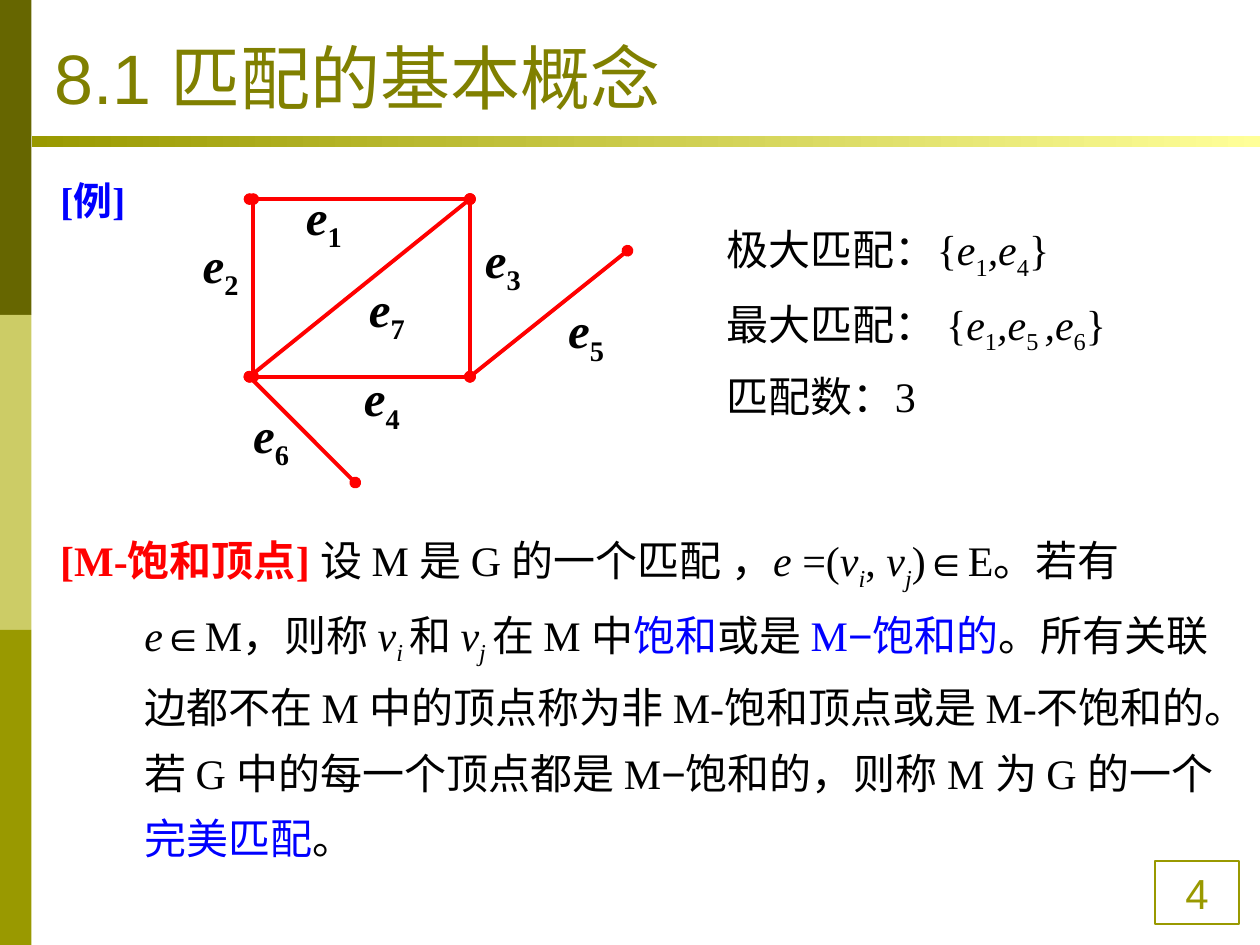
from typing import NamedTuple

from lxml import etree
from pptx import Presentation
from pptx.dml.color import RGBColor
from pptx.enum.shapes import MSO_CONNECTOR, MSO_SHAPE
from pptx.enum.text import MSO_ANCHOR, MSO_AUTO_SIZE, PP_ALIGN
from pptx.oxml.ns import qn
from pptx.util import Inches, Pt

STRAIGHT, RECTANGLE = MSO_CONNECTOR.STRAIGHT, MSO_SHAPE.RECTANGLE
LEFT, CENTER = PP_ALIGN.LEFT, PP_ALIGN.CENTER
TOP, MIDDLE, BOTTOM = MSO_ANCHOR.TOP, MSO_ANCHOR.MIDDLE, MSO_ANCHOR.BOTTOM
NO_FIT = MSO_AUTO_SIZE.NONE
SERIF, SANS = "Times New Roman", "Arial"
COLOURS = {
    "dark olive": "666600", "pale olive": "CCCC66", "olive": "999900",
    "title": "808000", "cream": "FFFF99",
    "red": "FF0000", "blue": "0000FF", "black": "000000",
}
COLUMNS, ROWS = 100, 75  # grid over the whole slide


class Box(NamedTuple):
    left: float
    top: float
    width: float
    height: float


class Point(NamedTuple):
    x: float
    y: float


class Edge(NamedTuple):
    start: Point
    end: Point
    number: str
    label: Point


class Span(NamedTuple):
    """Marks: i italic, s subscript, b bold, a Arial, B blue, R red."""
    text: str
    marks: str = ""


TOP_LEFT, TOP_RIGHT = Point(19.8, 15.8), Point(37.3, 15.8)
LOW_LEFT, LOW_RIGHT = Point(19.8, 29.9), Point(37.3, 29.9)
EDGES = [
    Edge(TOP_LEFT, TOP_RIGHT, "1", Point(23.3, 14.3)),
    Edge(Point(20.1, 15.8), Point(20.1, 29.9), "2", Point(15.1, 18.1)),
    Edge(TOP_RIGHT, LOW_RIGHT, "3", Point(37.5, 17.7)),
    Edge(LOW_LEFT, LOW_RIGHT, "4", Point(27.9, 28.7)),
    Edge(LOW_RIGHT, Point(49.8, 19.9), "5", Point(44.1, 23.3)),
    Edge(LOW_LEFT, Point(28.2, 38.3), "6", Point(19.1, 31.6)),
    Edge(LOW_LEFT, TOP_RIGHT, "7", Point(28.3, 21.6)),
]
V_I = [Span("v", "i"), Span("i", "is")]
V_J = [Span("v", "i"), Span("j", "is")]
DEFINITION = [
    Span("[M-饱和顶点] ", "bR"), Span("设 M 是 G 的一个匹配 ，"),
    Span("e ", "i"), Span("=("), *V_I, Span(", "), *V_J, Span(")"),
    Span("∈", "a"), Span("E。若有"), Span("e", "i"), Span("∈", "a"),
    Span("M，则称 "), *V_I, Span(" ", "is"), Span("和 "), *V_J,
    Span(" ", "is"), Span("在 M 中"), Span("饱和", "B"), Span("或是 "),
    Span("M", "B"), Span("−", "aB"), Span("饱和的", "B"),
    Span("。所有关联边都不在 M 中的顶点称为非 M-饱和顶点或是 M-不饱和的。"
         "若 G 中的每一个顶点都是 M"),
    Span("−", "a"), Span("饱和的，则称 M 为 G 的一个"),
    Span("完美匹配", "B"), Span("。"),
]
RESULTS = [
    [Span("极大匹配：{"), Span("e", "i"), Span("1", "s"), Span(",e", "i"),
     Span("4", "s"), Span("}")],
    [Span("最大匹配： {"), Span("e", "i"), Span("1", "s"), Span(",e", "i"),
     Span("5 ", "s"), Span(",e", "i"), Span("6", "s"), Span("}")],
    [Span("匹配数：3")],
]

deck = Presentation()
deck.slide_width, deck.slide_height = Inches(10), Inches(7.5)
slide = deck.slides.add_slide(deck.slide_layouts[1])


def across(columns: float) -> int:
    return round(deck.slide_width * columns / COLUMNS)


def down(rows: float) -> int:
    return round(deck.slide_height * rows / ROWS)


def place(shape, box: Box) -> None:
    shape.left, shape.top = across(box.left), down(box.top)
    shape.width, shape.height = across(box.width), down(box.height)


def colour(name: str) -> RGBColor:
    return RGBColor.from_string(COLOURS[name])


def add_band(box: Box):
    band = slide.shapes.add_shape(
        RECTANGLE, across(box.left), down(box.top),
        across(box.width), down(box.height))
    band.shadow.inherit = False
    band.line.fill.background()
    return band


def add_text(box: Box):
    text_box = slide.shapes.add_textbox(
        across(box.left), down(box.top), across(box.width), down(box.height))
    text_box.text_frame.word_wrap = True
    return text_box.text_frame


def set_font(paragraph, size: float, face: str, name: str,
             bold: bool = False) -> None:
    font = paragraph.font
    font.size, font.name, font.bold = Pt(size), face, bold
    font.color.rgb = colour(name)


def write(paragraph, spans: list[Span]) -> None:
    for span in spans:
        run = paragraph.add_run()
        run.text = span.text
        if "i" in span.marks:
            run.font.italic = True
        if "b" in span.marks:
            run.font.bold = True
        if "a" in span.marks:
            run.font.name = SANS
        for mark, name in (("B", "blue"), ("R", "red")):
            if mark in span.marks:
                run.font.color.rgb = colour(name)
        if "s" in span.marks:
            run.font._element.set("baseline", "-25000")


def hang(paragraph) -> None:
    """Indent every line but the first."""
    properties = paragraph._p.get_or_add_pPr()
    properties.set("marL", str(across(6.67)))
    properties.set("indent", str(-across(6.67)))


def draw_edge(edge: Edge) -> None:
    line = slide.shapes.add_connector(
        STRAIGHT, across(edge.start.x), down(edge.start.y),
        across(edge.end.x), down(edge.end.y))
    line.line.color.rgb = colour("red")
    line.line.width = Pt(2.25)
    outline = line.line._get_or_add_ln()
    for end in ("a:headEnd", "a:tailEnd"):
        etree.SubElement(outline, qn(end), type="oval")
    etree.SubElement(line._element.spPr, qn("a:effectLst"))


def label_edge(edge: Edge) -> None:
    frame = add_text(Box(*edge.label, 4.8, 6.3))
    frame.margin_right = 0  # keeps letter and subscript on one line
    set_font(frame.paragraphs[0], 28, SERIF, "black", bold=True)
    write(frame.paragraphs[0], [Span("e", "i"), Span(edge.number, "s")])


for index, shade in enumerate(("dark olive", "pale olive", "olive")):
    stripe = add_band(Box(0, index * ROWS / 3, 2.5, ROWS / 3))
    stripe.fill.solid()
    stripe.fill.fore_color.rgb = colour(shade)

page_number = add_band(Box(91.67, 68.33, 6.67, 5))
page_number.fill.background()
page_number.line.color.rgb = colour("olive")
page_number.line.width = Pt(0.75)
page_number.text_frame.vertical_anchor = MIDDLE
page_number.text_frame.text = "4"
page_number.text_frame.paragraphs[0].alignment = CENTER
set_font(page_number.text_frame.paragraphs[0], 24, SANS, "olive")

rule = add_band(Box(2.5, 10.8, 97.5, 0.9))
rule.fill.gradient()
rule.fill.gradient_angle = 0
for stop, shade in zip(rule.fill.gradient_stops, ("olive", "cream")):
    stop.color.rgb = colour(shade)

title, example = slide.placeholders
for holder, box, anchor, words in (
        (title, Box(3.3, 1.3, 90, 8.6), BOTTOM, "8.1 匹配的基本概念"),
        (example, Box(3.8, 12.8, 8.7, 7.5), TOP, "[例]")):
    place(holder, box)
    holder.text_frame.auto_size = NO_FIT
    holder.text_frame.vertical_anchor = anchor
    holder.text_frame.text = words
    holder.text_frame.paragraphs[0].alignment = LEFT
set_font(title.text_frame.paragraphs[0], 40, SANS, "title")
heading = example.text_frame.paragraphs[0]
hang(heading)
heading.line_spacing, heading.space_before = 1.2, Pt(0)
etree.SubElement(heading._p.get_or_add_pPr(), qn("a:buNone"))
set_font(heading, 22.2, SERIF, "blue", bold=True)

definition = add_text(Box(3.8, 40.6, 93.7, 26.8)).paragraphs[0]
hang(definition)
definition.line_spacing = 1.3
set_font(definition, 24, SERIF, "black")
write(definition, DEFINITION)

for edge in EDGES:
    draw_edge(edge)
for edge in EDGES:
    label_edge(edge)

results = add_text(Box(56.7, 15.9, 40, 18.1))
for index, spans in enumerate(RESULTS):
    result = results.add_paragraph() if index else results.paragraphs[0]
    result.line_spacing = 1.3
    set_font(result, 24, SERIF, "black")
    write(result, spans)

deck.save("out.pptx")
